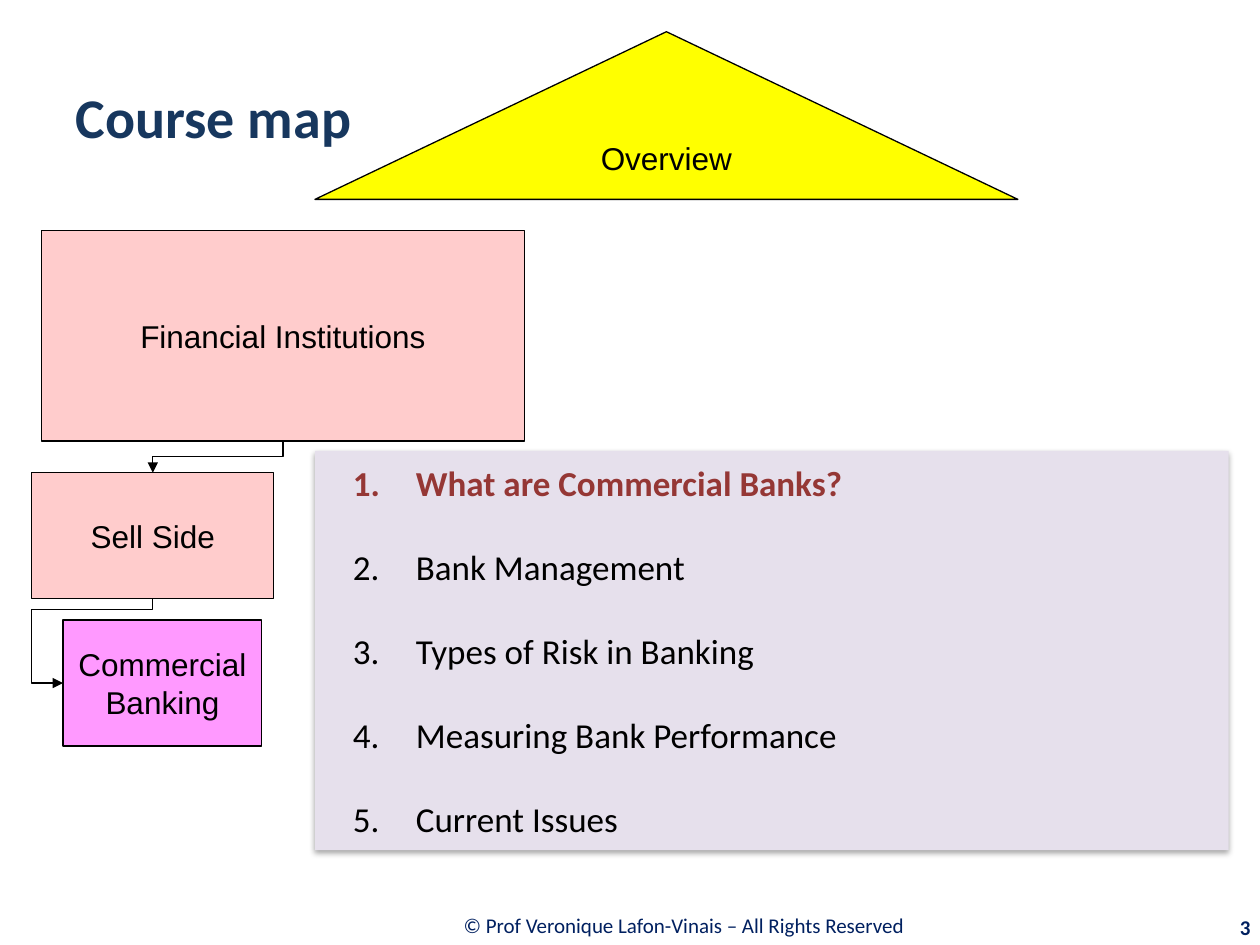
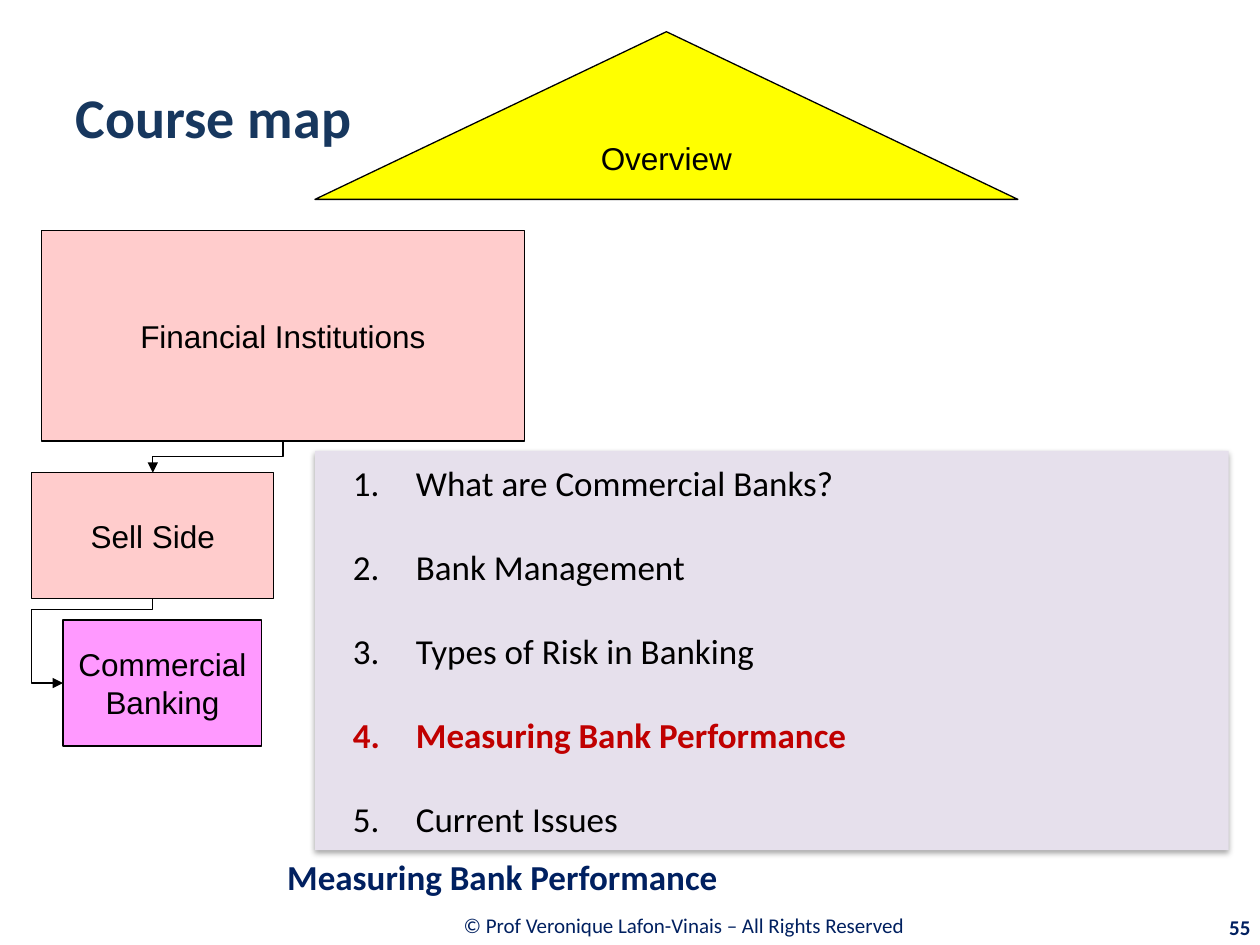
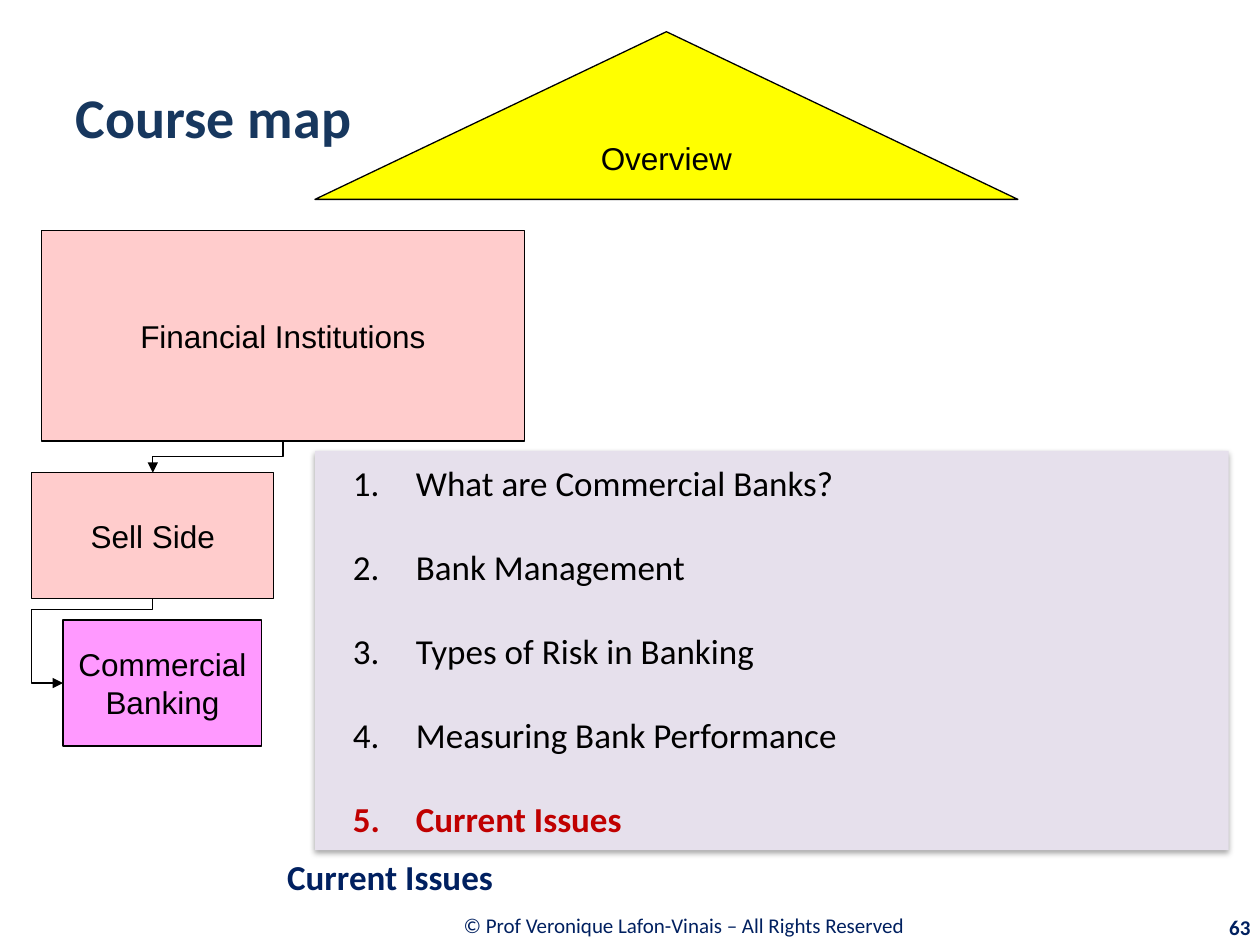
from lxml.etree import SubElement
from pptx import Presentation
from pptx.dml.color import RGBColor
from pptx.enum.shapes import MSO_CONNECTOR as LINE, MSO_SHAPE as SHAPE
from pptx.enum.text import MSO_ANCHOR as ANCHOR, MSO_AUTO_SIZE as AUTO, PP_ALIGN as ALIGN
from pptx.oxml.ns import qn
from pptx.util import Cm, Pt

BLACK, NAVY, INK = "000000", "002060", "17375E"
PINK, MAUVE, GOLD, LILAC = "FFCCCC", "FF99FF", "FFFF00", "E6E0EC"
BROWN, RED = "953735", "C00000"
TITLE = dict(name="Calibri", size=Pt(32), bold=True, color=INK)
NOTE = dict(name="Calibri", size=Pt(12), bold=False, color=NAVY)
PAGE = {**NOTE, "bold": True}
HEAD = {**PAGE, "size": Pt(20)}
ITEM = {**HEAD, "bold": False, "color": BLACK}
LABEL = dict(name="Arial", size=Pt(18), bold=False, color=BLACK)
TOPICS = ["What are Commercial Banks?", "Bank Management", "Types of Risk in Banking",
          "Measuring Bank Performance", "Current Issues"]
PAGES = [("3", 0, BROWN, False), ("55", 3, RED, True), ("63", 4, RED, True)]


def paint(part, color):
    """Give a fill, line or font colour part a solid hex colour."""
    part.rgb = RGBColor.from_string(color)


def add(parent, tag, **attrs):
    """Append a drawing element with the given attributes."""
    return SubElement(parent, qn(tag), {key: str(val) for key, val in attrs.items()})


def place(shape, box):
    """Move a shape to a box in centimetres."""
    for key, val in zip(("left", "top", "width", "height"), box):
        setattr(shape, key, Cm(val))


def write(para, text, style):
    """Add one run of text in a style."""
    run = para.add_run()
    run.text = text
    for key, val in style.items():
        if key == "color":
            paint(run.font.color, val)
        else:
            setattr(run.font, key, val)


def fill_text(shape, text, style, align, wrap=True):
    """Write one line of text, centred vertically, in a shape."""
    frame = shape.text_frame
    for key, val in dict(word_wrap=wrap, auto_size=AUTO.NONE, vertical_anchor=ANCHOR.MIDDLE).items():
        setattr(frame, key, val)
    para = frame.paragraphs[0]
    para.alignment = align
    write(para, text, style)


def add_text(slide, box, text, style, align):
    """Add a text box."""
    fill_text(slide.shapes.add_textbox(*map(Cm, box)), text, style, align)


def add_node(slide, box, text, color, kind=SHAPE.RECTANGLE, wrap=False):
    """Add an outlined shape with a centred label."""
    node = slide.shapes.add_shape(kind, *map(Cm, box))
    node.shadow.inherit = False
    node.fill.solid()
    paint(node.fill.fore_color, color)
    paint(node.line.color, BLACK)
    node.line.width = Pt(0.75)
    fill_text(node, text, LABEL, ALIGN.CENTER, wrap)


def add_elbow(slide, start, end, kind, *bends):
    """Add an arrow that leaves downwards and ends to the lower left."""
    (x1, y1), (x2, y2) = start, end
    wide, high = y2 - y1, x1 - x2
    left, top = (x1 + x2 - wide) / 2, (y1 + y2 - high) / 2
    link = slide.shapes.add_connector(LINE.ELBOW, *map(Cm, (left, top, left + wide, top + high)))
    paint(link.line.color, BLACK)
    link.line.width = Pt(0.75)
    props = link._element.spPr
    props.find(qn("a:xfrm")).set("rot", "5400000")
    geom = props.find(qn("a:prstGeom"))
    geom.set("prst", kind)
    guides = geom.find(qn("a:avLst"))
    for num, bend in enumerate(bends, 1):
        add(guides, "a:gd", name=f"adj{num}", fmla=f"val {bend}")
    add(props.find(qn("a:ln")), "a:tailEnd", type="triangle")
    add(props, "a:effectLst")


def add_map(slide, left, top):
    """Draw the chain from institutions to commercial banking at a corner."""
    firms = (left + 0.2, top, 9.73, 4.24)
    sell = (left, top + 4.88, 4.88, 2.54)
    bank = (left + 0.63, top + 7.85, 4.01, 2.54)
    add_node(slide, sell, "Sell Side", PINK)
    add_node(slide, bank, "Commercial Banking", MAUVE, wrap=True)
    add_node(slide, firms, "Financial Institutions", PINK)
    mid = sell[0] + sell[2] / 2
    add_elbow(slide, (firms[0] + firms[2] / 2, firms[1] + firms[3]), (mid, sell[1]),
              "bentConnector3", 50000)
    add_elbow(slide, (mid, sell[1] + sell[3]), (bank[0], bank[1] + bank[3] / 2),
              "bentConnector4", 12500, 135300)


def add_list(body, box, active, color):
    """Fill the body placeholder with the numbered topics, one of them marked."""
    place(body, box)
    body.fill.solid()
    paint(body.fill.fore_color, LILAC)
    glow = add(add(body._element.spPr, "a:effectLst"), "a:outerShdw", blurRad=Pt(3.1),
               dist=Pt(1.8), dir=5400000, rotWithShape=0)
    add(add(glow, "a:srgbClr", val=BLACK), "a:alpha", val=35000)
    frame = body.text_frame
    frame.auto_size, frame.vertical_anchor = AUTO.NONE, ANCHOR.MIDDLE
    for num, topic in enumerate(TOPICS):
        para = frame.add_paragraph() if num else frame.paragraphs[0]
        props = para._p.get_or_add_pPr()
        props.set("marL", str(Cm(1.78)))
        props.set("indent", str(Cm(-1.27)))
        add(props, "a:buFont", typeface="+mj-lt")
        add(props, "a:buAutoNum", type="arabicPeriod")
        para.space_before = Pt(0)
        para.line_spacing = 2.0 if num else 1.0
        mark = dict(bold=True, color=color) if num == active else {}
        write(para, topic, {**ITEM, **mark})


def add_foot(slide, page):
    """Add the copyright line and page number."""
    add_text(slide, (5.56, 18.16, 16.46, 0.99),
             "© Prof Veronique Lafon-Vinais – All Rights Reserved", NOTE, ALIGN.CENTER)
    add_text(slide, (22.89, 18.29, 2.57, 0.81), page, PAGE, ALIGN.RIGHT)


def add_course(deck, page, active, color, named):
    """Add one course map slide with the active topic marked."""
    slide = deck.slides.add_slide(deck.slide_layouts[1])
    title, body = slide.placeholders
    place(title, (1.27, 0.76, 22.86, 3.18))
    fill_text(title, "Course map", TITLE, ALIGN.LEFT)
    add_foot(slide, page)
    add_map(slide, 0.64, 4.65)
    add_node(slide, (6.35, 0.64, 14.17, 3.38), "Overview", GOLD, SHAPE.FLOWCHART_EXTRACT)
    add_list(body, (6.35, 9.09, 18.42, 8.05), active, color)
    if named:
        add_text(slide, (5.54, 17.07, 19.86, 1.19), TOPICS[active], HEAD, ALIGN.LEFT)


def main():
    """Build and save the deck."""
    deck = Presentation()
    deck.slide_width, deck.slide_height = Cm(25.4), Cm(19.05)
    for page in PAGES:
        add_course(deck, *page)
    deck.save("out.pptx")


if __name__ == "__main__":
    main()
